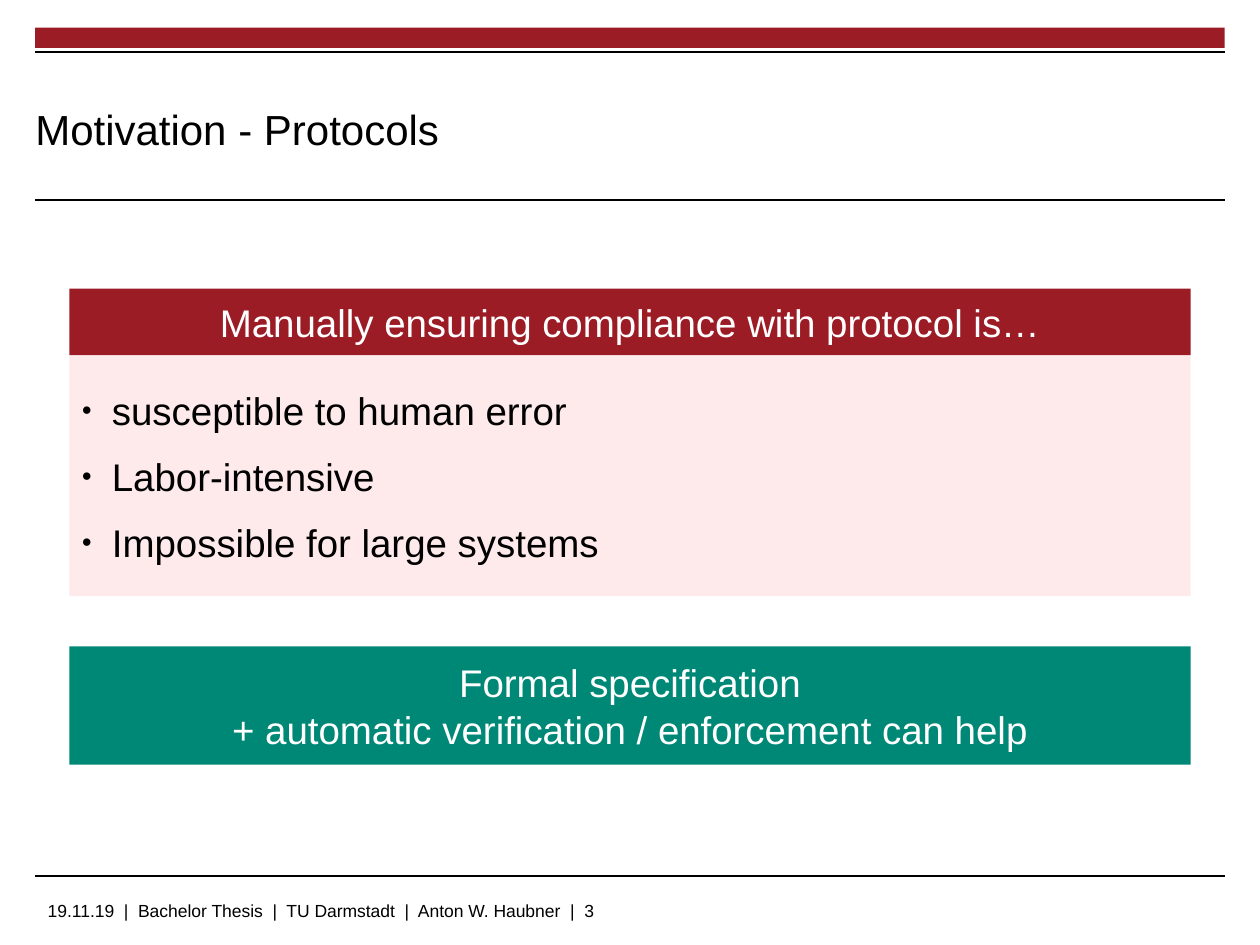
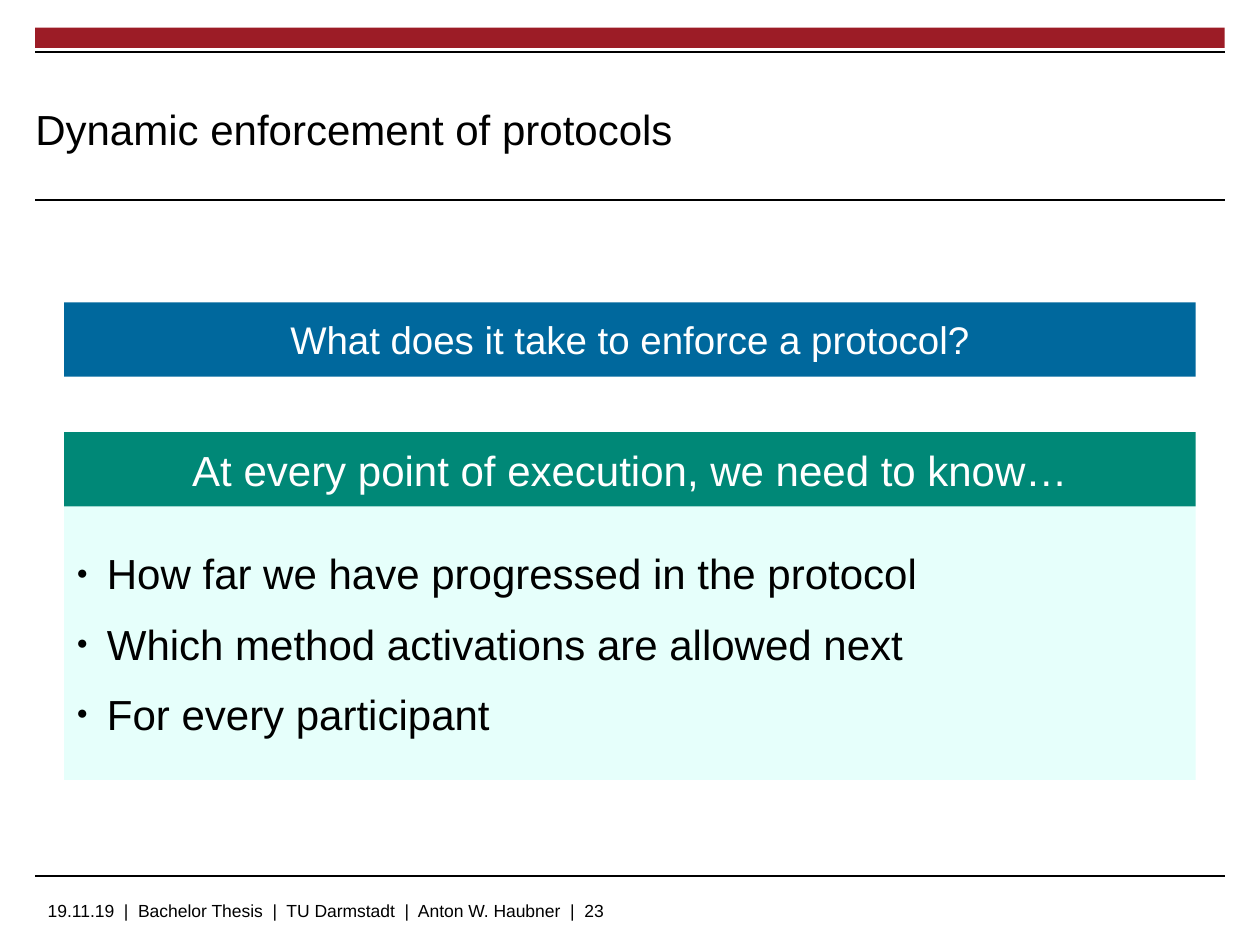
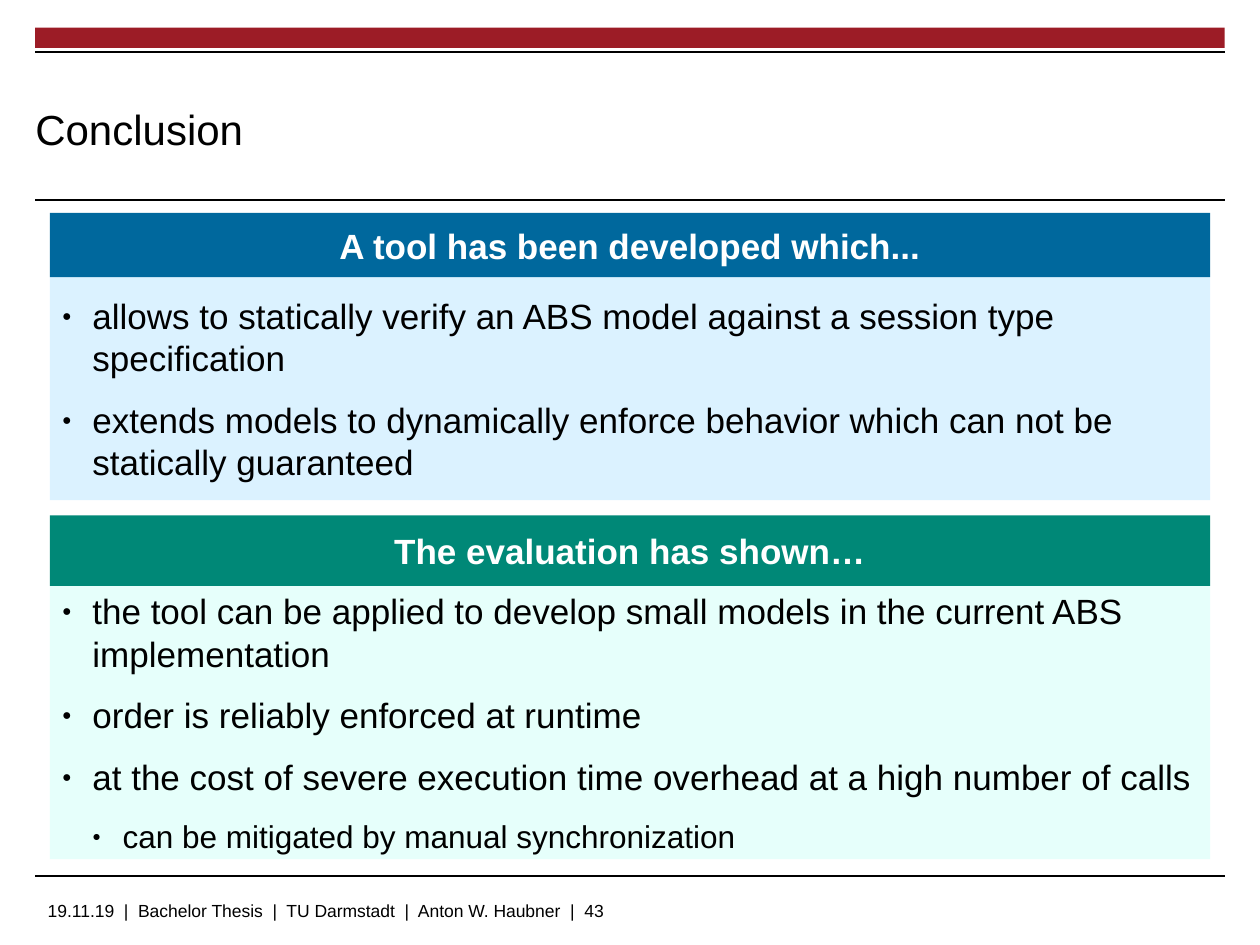
"""Build three slides on protocol enforcement for a bachelor thesis talk."""
from dataclasses import dataclass

from lxml import etree
from pptx import Presentation
from pptx import util as u
from pptx.dml.color import RGBColor
from pptx.enum import shapes, text
from pptx.oxml import ns

FONT = "Arial"
COLOURS = {
    "black": "000000",
    "white": "FFFFFF",
    "red": "9C1C26",
    "red tint": "FEEAEB",
    "green": "008877",
    "green tint": "E6FFFB",
    "blue": "00689D",
    "blue tint": "DBF2FF",
}
SLIDE_WIDTH, SLIDE_HEIGHT = 10, 7.5
MARGIN = 0.28
RULE_TOPS = (0.41, 1.59, 6.95)
INDENT = 0.24
FOOTER = "19.11.19  |  Bachelor Thesis  |  TU Darmstadt  |  Anton W. Haubner  |  {}"


@dataclass(frozen=True)
class Bullet:
    """A list entry; a level-one entry is indented and set smaller."""
    words: str
    level: int = 0


@dataclass(frozen=True)
class Panel:
    """A coloured heading bar with an optional tinted list below it."""
    heading: str
    colour: str
    top: float
    width: float
    bar_height: float
    size: int = 22
    bold: bool = False
    list_height: float = 0
    bullets: tuple[Bullet, ...] = ()


@dataclass(frozen=True)
class Page:
    """A titled slide with its printed number and panels."""
    title: str
    number: int
    panels: tuple[Panel, ...]


PAGES = (
    Page("Motivation - Protocols", 3, (
        Panel("Manually ensuring compliance with protocol is…", "red", 2.29, 8.9, 0.53,
              list_height=1.91, bullets=(
                  Bullet("susceptible to human error"),
                  Bullet("Labor-intensive"),
                  Bullet("Impossible for large systems"))),
        Panel("Formal specification\n+ automatic verification / enforcement can help",
              "green", 5.13, 8.9, 0.94),
    )),
    Page("Dynamic enforcement of protocols", 23, (
        Panel("What does it take to enforce a protocol?", "blue", 2.4, 8.98, 0.59),
        Panel("At every point of execution, we need to know…", "green", 3.43, 8.98, 0.59,
              size=24, list_height=2.17, bullets=(
                  Bullet("How far we have progressed in the protocol"),
                  Bullet("Which method activations are allowed next"),
                  Bullet("For every participant"))),
    )),
    Page("Conclusion", 43, (
        Panel("A tool has been developed which...", "blue", 1.69, 9.21, 0.51,
              size=20, bold=True, list_height=1.77, bullets=(
                  Bullet("allows to statically verify an ABS model against "
                         "a session type specification"),
                  Bullet("extends models to dynamically enforce behavior "
                         "which can not be statically guaranteed"))),
        Panel("The evaluation has shown…", "green", 4.09, 9.21, 0.56,
              size=20, bold=True, list_height=2.17, bullets=(
                  Bullet("the tool can be applied to develop small models "
                         "in the current ABS implementation"),
                  Bullet("order is reliably enforced at runtime"),
                  Bullet("at the cost of severe execution time overhead "
                         "at a high number of calls"),
                  Bullet("can be mitigated by manual synchronization", 1))),
    )),
)


def rgb(name: str) -> RGBColor:
    """Look up a named colour."""
    return RGBColor.from_string(COLOURS[name])


def style(para, size: float, colour: str = "black", bold: bool = False,
          align=text.PP_ALIGN.LEFT) -> None:
    """Align a paragraph and format its runs."""
    para.alignment = align
    for span in para.runs:
        span.font.name = FONT
        span.font.size = u.Pt(size)
        span.font.bold = bold
        span.font.color.rgb = rgb(colour)


def prepare(frame) -> None:
    """Wrap the text of a frame and centre it vertically."""
    frame.word_wrap = True
    frame.auto_size = text.MSO_AUTO_SIZE.NONE
    frame.vertical_anchor = text.MSO_ANCHOR.MIDDLE


def add_box(slide, left: float, top: float, width: float, height: float, colour: str):
    """Add a flat filled rectangle."""
    box = slide.shapes.add_shape(shapes.MSO_SHAPE.RECTANGLE, u.Inches(left), u.Inches(top),
                                 u.Inches(width), u.Inches(height))
    box.shadow.inherit = False
    box.fill.solid()
    box.fill.fore_color.rgb = rgb(colour)
    box.line.fill.background()
    prepare(box.text_frame)
    return box


def add_rule(slide, top: float) -> None:
    """Add a thin line from margin to margin."""
    rule = slide.shapes.add_connector(shapes.MSO_CONNECTOR.STRAIGHT, u.Inches(MARGIN),
                                      u.Inches(top), u.Inches(SLIDE_WIDTH - MARGIN),
                                      u.Inches(top))
    rule.line.color.rgb = rgb("black")
    rule.line.width = u.Pt(1.13)
    etree.SubElement(rule._element.spPr, ns.qn("a:effectLst"))


def add_bullet_mark(para, level: int) -> None:
    """Give a paragraph a hanging indent and a small round bullet."""
    props = para._p.get_or_add_pPr()
    props.set("marL", str(u.Inches(INDENT * (level + 1))))
    props.set("indent", str(u.Inches(-INDENT)))
    colour = etree.SubElement(props, ns.qn("a:buClr"))
    etree.SubElement(colour, ns.qn("a:srgbClr"), val=COLOURS["black"])
    etree.SubElement(props, ns.qn("a:buSzPct"), val="45000")
    etree.SubElement(props, ns.qn("a:buFont"), typeface=FONT)
    etree.SubElement(props, ns.qn("a:buChar"), char="●")


def add_panel(slide, panel: Panel) -> None:
    """Draw a centred panel: its list, if any, and its heading bar."""
    left = (SLIDE_WIDTH - panel.width) / 2
    if panel.bullets:
        body = add_box(slide, left, panel.top + panel.bar_height, panel.width,
                       panel.list_height, f"{panel.colour} tint")
        body.text_frame.text = "\n".join(bullet.words for bullet in panel.bullets)
        for index, (para, bullet) in enumerate(zip(body.text_frame.paragraphs, panel.bullets)):
            para.level = bullet.level
            add_bullet_mark(para, bullet.level)
            para.space_before = u.Pt(11.3 if index else 0)
            style(para, panel.size - 2 * bullet.level)
    bar = add_box(slide, left, panel.top, panel.width, panel.bar_height, panel.colour)
    bar.text_frame.text = panel.heading
    for para in bar.text_frame.paragraphs:
        style(para, panel.size, "white", panel.bold, text.PP_ALIGN.CENTER)


def add_frame(slide, page: Page) -> None:
    """Draw the band, rules, footer and title shared by all slides."""
    add_box(slide, MARGIN, 0.22, SLIDE_WIDTH - 2 * MARGIN, 0.16, "red")
    for top in RULE_TOPS:
        add_rule(slide, top)

    footer = slide.shapes.add_textbox(u.Inches(MARGIN), u.Inches(7.1),
                                      u.Inches(7.99), u.Inches(0.25)).text_frame
    prepare(footer)
    footer.text = FOOTER.format(page.number)
    style(footer.paragraphs[0], 10)

    title = slide.shapes.title
    title.left, title.top = u.Inches(MARGIN), u.Inches(0.52)
    title.width, title.height = u.Inches(7.26), u.Inches(1)
    frame = title.text_frame
    prepare(frame)
    frame.margin_left = frame.margin_right = frame.margin_top = frame.margin_bottom = 0
    frame.text = page.title
    style(frame.paragraphs[0], 24)


def main() -> None:
    """Build and save the deck."""
    deck = Presentation()
    deck.slide_width, deck.slide_height = u.Inches(SLIDE_WIDTH), u.Inches(SLIDE_HEIGHT)
    title_only = deck.slide_layouts[5]
    for page in PAGES:
        slide = deck.slides.add_slide(title_only)
        add_frame(slide, page)
        for panel in page.panels:
            add_panel(slide, panel)
    deck.save("out.pptx")


if __name__ == "__main__":
    main()
